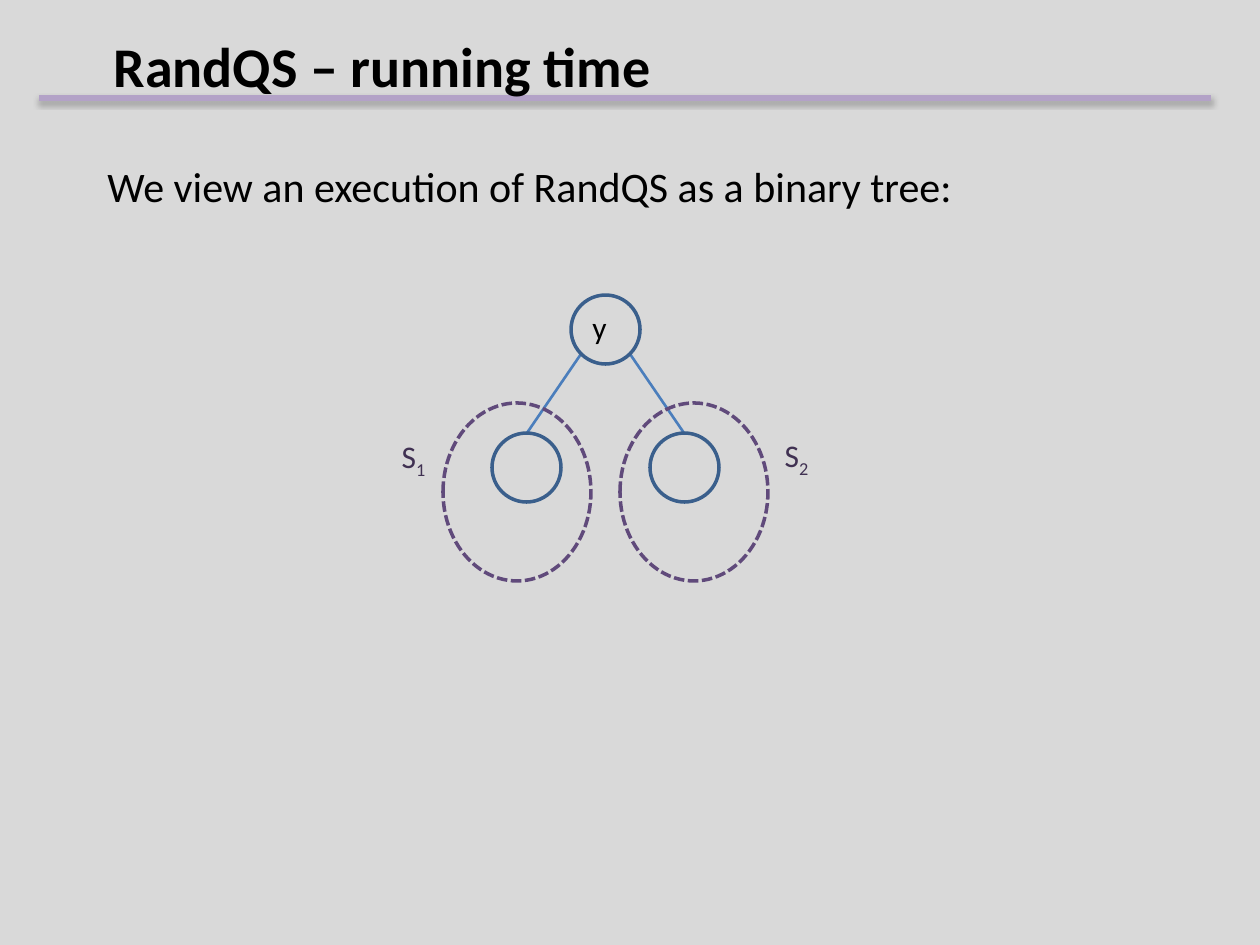
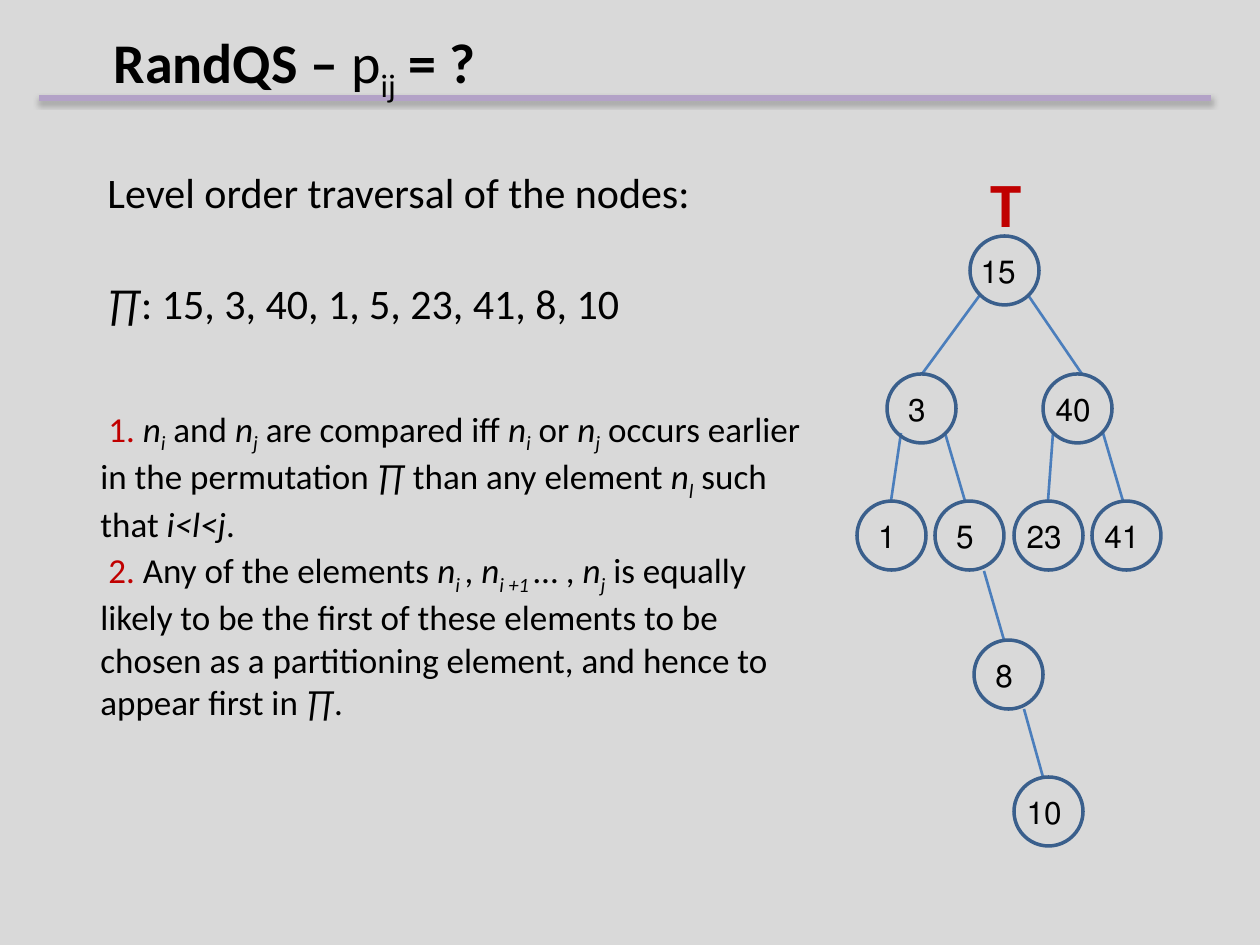
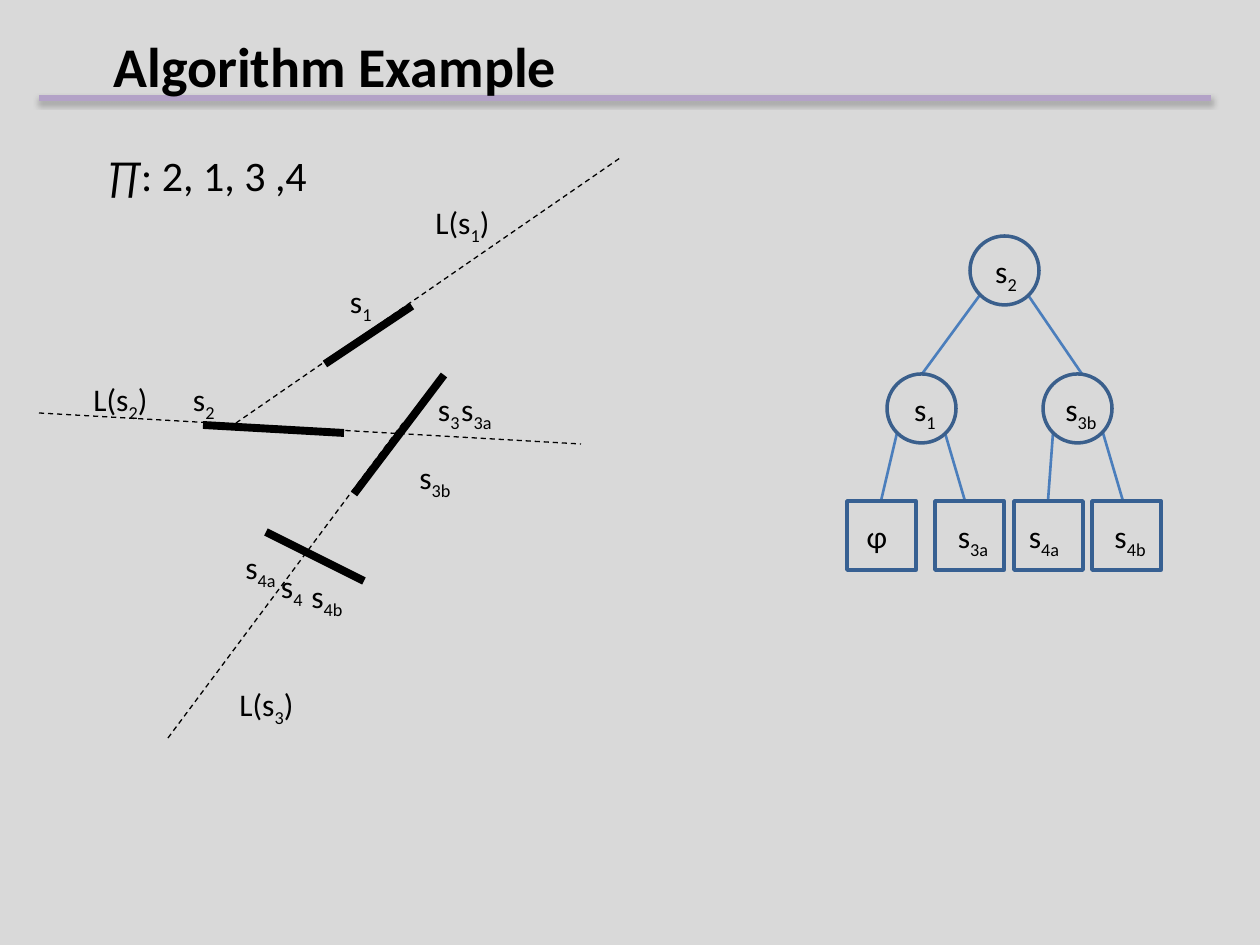
"""Build three slides on randomized quicksort trees and a binary partition example."""
from typing import NamedTuple, Optional, Sequence

from lxml import etree
from pptx import Presentation
from pptx import util as u
from pptx.dml.color import RGBColor
from pptx.enum import dml, shapes, text
from pptx.oxml.ns import qn

SCALE = 914400 / 126
FONT = "Calibri"
BACKGROUND = RGBColor(0xD9, 0xD9, 0xD9)
BLACK = RGBColor(0, 0, 0)
RED = RGBColor(0xC0, 0, 0)
BAND = RGBColor(0xB3, 0xA2, 0xC7)
NODE_LINE = RGBColor(0x3A, 0x5F, 0x8C)
LEAF_LINE = RGBColor(0x37, 0x60, 0x92)
EDGE_LINE = RGBColor(0x4B, 0x7E, 0xBC)
SUBSET_LINE = RGBColor(0x60, 0x4A, 0x7B)
SUBSET_TEXT = RGBColor(0x40, 0x31, 0x52)

OVAL = shapes.MSO_SHAPE.OVAL
SQUARE = shapes.MSO_SHAPE.RECTANGLE
LEFT, CENTER, RIGHT = text.PP_ALIGN.LEFT, text.PP_ALIGN.CENTER, text.PP_ALIGN.RIGHT

NODE = 69
LABEL_H = 50
LEVEL_1, LEVEL_2, LEVEL_3, LEVEL_4, LEVEL_5 = 236, 374, 501, 640, 777
TITLE_BOX = (101, 20, 1071, 91)
BODY_X, BODY_W = 88, 1043


class Run(NamedTuple):
    text: str
    size: Optional[int] = None
    sub: bool = False
    italic: bool = False
    bold: bool = False
    color: Optional[RGBColor] = None


class Node(NamedTuple):
    x: int
    y: int
    label: Sequence[Run] = ()
    width: int = 60
    dx: int = 0
    kind: shapes.MSO_SHAPE = OVAL


class Line(NamedTuple):
    x1: int
    y1: int
    x2: int
    y2: int


class Label(NamedTuple):
    x: int
    y: int
    width: int
    runs: Sequence[Run]


def px(n: float) -> int:
    return u.Emu(round(n * SCALE))


def indexed(base: str, index: str) -> list[Run]:
    return [Run(base), Run(index, sub=True)]


def variable(index: str, base: str = "n") -> list[Run]:
    return [Run(base, italic=True), Run(index, sub=True, italic=True)]


def extension(index: str) -> list[Run]:
    return [Run("L(s"), Run(index, sub=True), Run(")")]


def add_runs(p, runs: Sequence[Run], size: int, color: RGBColor = BLACK) -> None:
    for run in runs:
        r = p.add_run()
        r.text = run.text
        f = r.font
        f.name, f.size = FONT, u.Pt(run.size or size)
        f.bold, f.italic = run.bold, run.italic
        f.color.rgb = run.color or color
        if run.sub:
            r._r.get_or_add_rPr().set("baseline", "-25000")


def add_text(s, box: tuple, runs: Sequence[Run], size: int = 18, align=LEFT,
             color: RGBColor = BLACK, rtl: bool = False, wrap: bool = True,
             spacing: Optional[float] = None) -> None:
    tf = s.shapes.add_textbox(*map(px, box)).text_frame
    tf.word_wrap = wrap
    tf.auto_size = text.MSO_AUTO_SIZE.SHAPE_TO_FIT_TEXT
    p = tf.paragraphs[0]
    p.alignment = align
    if spacing:
        p.line_spacing = spacing
    if rtl:
        p._p.get_or_add_pPr().set("rtl", "1")
    add_runs(p, runs, size, color)


def add_body(s, y: int, h: int, runs: Sequence[Run]) -> None:
    add_text(s, (BODY_X, y, BODY_W, h), [Run(" ", 18), *runs], 24, spacing=1.5)


def add_line(s, line: Line, color: RGBColor, width: float, dash=None):
    c = s.shapes.add_connector(shapes.MSO_CONNECTOR.STRAIGHT, *map(px, line))
    c.line.color.rgb = color
    c.line.width = u.Pt(width)
    if dash:
        c.line.dash_style = dash
    etree.SubElement(c._element.spPr, qn("a:effectLst"))
    return c


def add_outline(s, kind, box: tuple, color: RGBColor, dash=None) -> None:
    sp = s.shapes.add_shape(kind, *map(px, box))
    sp.shadow.inherit = False
    sp.fill.background()
    sp.line.color.rgb = color
    sp.line.width = u.Pt(2)
    if dash:
        sp.line.dash_style = dash


def add_tree(s, nodes: Sequence[Node], edges: Sequence[Line], rtl: bool = False) -> None:
    for edge in edges:
        add_line(s, edge, EDGE_LINE, 1.5)
    for n in nodes:
        color = NODE_LINE if n.kind == OVAL else LEAF_LINE
        add_outline(s, n.kind, (n.x, n.y, NODE, NODE), color)
        if n.label:
            add_text(s, (n.x + n.dx, n.y + 10, n.width, LABEL_H), n.label,
                     align=CENTER, rtl=rtl)


def add_band(s):
    c = add_line(s, Line(39, 98, 1211, 98), BAND, 3)
    shadow = etree.SubElement(c._element.spPr.find(qn("a:effectLst")), qn("a:outerShdw"),
                              blurRad="40000", dist="23000", dir="5400000", rotWithShape="0")
    tint = etree.SubElement(shadow, qn("a:srgbClr"), val=str(BLACK))
    etree.SubElement(tint, qn("a:alpha"), val="35000")
    return c


def add_slide(prs, title: Sequence[Run]):
    s = prs.slides.add_slide(prs.slide_layouts[5])
    sp = s.shapes.title
    sp.left, sp.top, sp.width, sp.height = map(px, TITLE_BOX)
    tf = sp.text_frame
    tf.auto_size = text.MSO_AUTO_SIZE.NONE
    tf.vertical_anchor = text.MSO_ANCHOR.MIDDLE
    p = tf.paragraphs[0]
    p.alignment = LEFT
    add_runs(p, title, 32)
    sp._element.addprevious(add_band(s)._element)
    return s


COMMON_EDGES = [
    Line(980, 295, 922, 374), Line(1028, 295, 1082, 374), Line(945, 433, 965, 501),
    Line(1053, 433, 1048, 501), Line(1103, 433, 1123, 501),
]


def running_time(prs) -> None:
    s = add_slide(prs, [Run("RandQS – running time", bold=True)])
    add_body(s, 129, 81, [Run("We view an execution of RandQS as a binary tree:")])
    add_tree(s, [Node(571, 295), Node(492, 433), Node(650, 433)],
             [Line(581, 354, 527, 433), Line(630, 354, 684, 433)])
    add_text(s, (590, 302, 29, LABEL_H), [Run("y")], align=CENTER, rtl=True)
    for x in (620, 443):
        add_outline(s, OVAL, (x, 403, 148, 178), SUBSET_LINE, dml.MSO_LINE.SQUARE_DOT)
    for label in (Label(767, 430, 59, indexed("S", "2")),
                  Label(384, 431, 59, indexed("S", "1"))):
        add_text(s, (label.x, label.y, label.width, LABEL_H), label.runs,
                 align=CENTER, color=SUBSET_TEXT, rtl=True)


def comparison_probability(prs) -> None:
    s = add_slide(prs, [Run("RandQS – ", bold=True), *indexed("p", "ij"),
                        Run(" = ?", bold=True)])
    add_body(s, 135, 81, [Run("Level order traversal of the nodes:")])
    places = [
        ("15", 970, LEVEL_1), ("3", 887, LEVEL_2), ("40", 1043, LEVEL_2),
        ("1", 857, LEVEL_3), ("5", 935, LEVEL_3), ("23", 1014, LEVEL_3),
        ("41", 1092, LEVEL_3), ("8", 974, LEVEL_4), ("10", 1014, LEVEL_5),
    ]
    nodes = [Node(x, y, [Run(key)], dx=-2 if y == LEVEL_1 else 0) for key, x, y in places]
    edges = [*COMMON_EDGES, Line(901, 433, 891, 501), Line(984, 571, 1004, 640),
             Line(1024, 709, 1043, 777)]
    add_tree(s, nodes, edges, rtl=True)
    add_text(s, (977, 158, 57, 89), [Run("T", bold=True)], 36, RIGHT, RED,
             rtl=True, wrap=False)
    product = Run("∏", italic=True)
    add_body(s, 246, 89, [product, Run(": 15, 3, 40, 1, 5, 23, 41, 8, 10")])
    add_text(s, (BODY_X, 401, 738, 140), [
        Run(" "), Run("1. ", color=RED), *variable("i"), Run(" and "), *variable("j"),
        Run(" are compared iff "), *variable("i"), Run(" or "), *variable("j"),
        Run(" occurs earlier in the permutation "), product, Run(" than any element "),
        *variable("l"), Run(" such that "), Run("i<l<j", italic=True), Run("."),
    ], 20)
    add_text(s, (BODY_X, 542, 738, 183), [
        Run(" "), Run("2.", color=RED), Run(" Any of the elements "), *variable("i "),
        Run(", "), *variable("i +1 "), Run("… , "), *variable("j"),
        Run(" is equally likely to be the first of these elements to be chosen as a "
            "partitioning element, and hence to appear first in "),
        product, Run("."),
    ], 20)


def algorithm_example(prs) -> None:
    s = add_slide(prs, [Run("Algorithm Example", bold=True)])
    add_body(s, 118, 81, [Run("∏", italic=True), Run(": 2, 1, 3 ,4")])
    for extension_line in (Line(236, 423, 620, 158), Line(39, 413, 581, 444),
                           Line(168, 738, 403, 423)):
        add_line(s, extension_line, BLACK, 0.75, dml.MSO_LINE.DASH)
    for segment in (Line(325, 364, 412, 306), Line(203, 425, 344, 433),
                    Line(354, 494, 444, 375), Line(266, 532, 364, 581)):
        add_line(s, segment, BLACK, 4.5)
    segment_places = [
        ("1", 335, 276), ("2", 178, 374), ("3", 423, 384), ("4", 266, 561),
        ("3b", 403, 452), ("3a", 444, 384), ("4b", 295, 571), ("4a", 228, 542),
    ]
    for index, x, y in segment_places:
        add_text(s, (x, y, 49 if len(index) == 1 else 60, LABEL_H), indexed("s", index),
                 align=RIGHT, wrap=False)
    for index, x, y in (("1", 423, 197), ("2", 81, 374), ("3", 227, 679)):
        add_text(s, (x, y, 81, LABEL_H), extension(index))
    nodes = [
        Node(970, LEVEL_1, indexed("s", "2"), 76, -2),
        Node(887, LEVEL_2, indexed("s", "1"), 76),
        Node(1043, LEVEL_2, indexed("s", "3b"), 76),
        Node(847, LEVEL_3, [Run("φ")], kind=SQUARE),
        Node(935, LEVEL_3, indexed(" s", "3a"), NODE, kind=SQUARE),
        Node(1014, LEVEL_3, indexed("s", "4a"), kind=SQUARE),
        Node(1092, LEVEL_3, indexed(" s", "4b"), NODE, kind=SQUARE),
    ]
    add_tree(s, nodes, [*COMMON_EDGES, Line(897, 433, 881, 501)])


def main() -> None:
    prs = Presentation()
    prs.slide_width, prs.slide_height = px(1260), px(945)
    fill = prs.slide_master.background.fill
    fill.solid()
    fill.fore_color.rgb = BACKGROUND
    running_time(prs)
    comparison_probability(prs)
    algorithm_example(prs)
    prs.save("out.pptx")


main()
